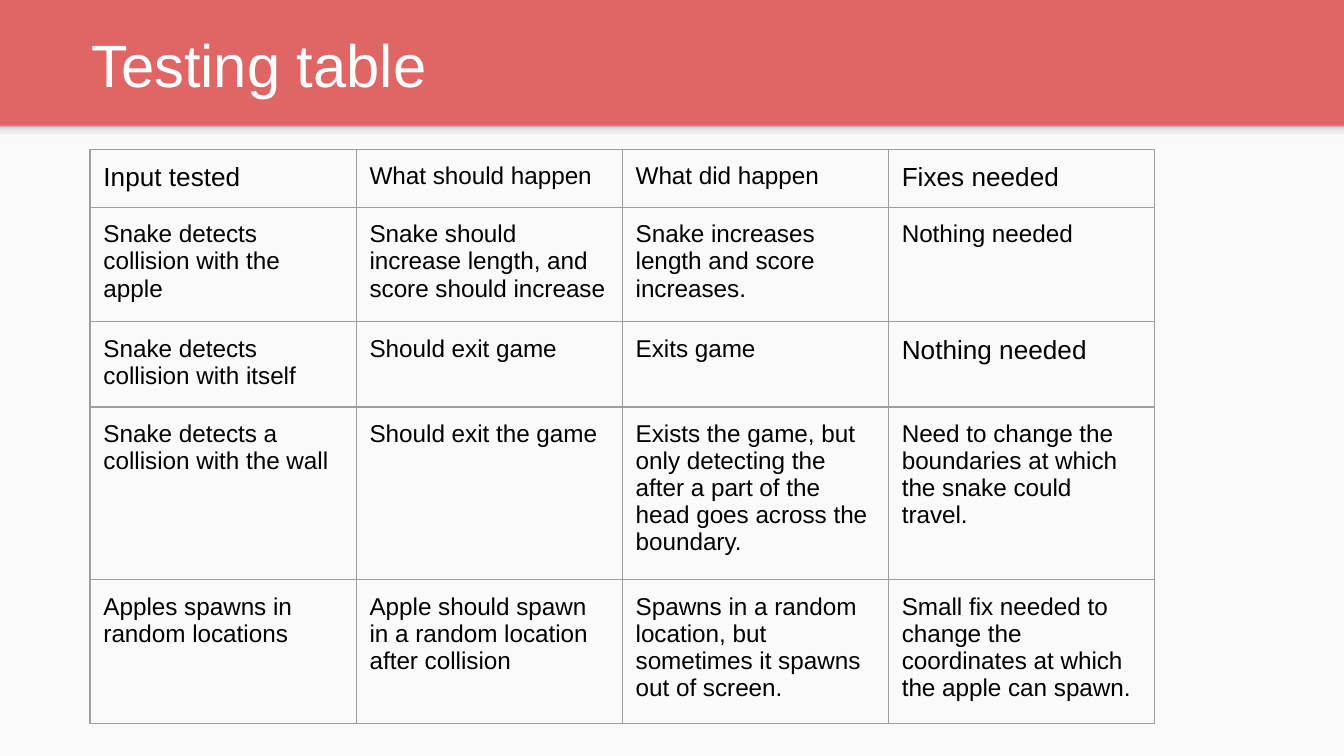
from typing import NamedTuple

from lxml import etree
from pptx import Presentation
from pptx.dml.color import RGBColor
from pptx.enum.shapes import MSO_SHAPE
from pptx.enum.text import MSO_ANCHOR
from pptx.oxml.ns import qn
from pptx.util import Inches, Pt

RECTANGLE = MSO_SHAPE.RECTANGLE
BOTTOM = MSO_ANCHOR.BOTTOM

FONT = "Arial"
COLORS = {
    "header": "E06666",
    "body": "FAFAFA",
    "title": "FFFFFF",
    "text": "000000",
    "border": "9E9E9E",
}
# Position in percent, from the bottom of the strip to its top
HEADER_SHADOW_STOPS = [(0, "F9F9F9"), (36, "F9F9F9"), (80, "DEDEDE"), (100, "999999")]

SLIDE_WIDTH = 10
SLIDE_HEIGHT = SLIDE_WIDTH * 9 / 16
BODY_TOP = 0.94
COLUMN_WIDTH, ROW_HEIGHT = 1.98, 0.42
TABLE_FRAME = 3.28  # nominal size; the rows grow with their text
MARGIN = 0.1


class Entry(NamedTuple):
    text: str
    size: int = 13


TESTS = [
    [
        Entry("Input tested", 14),
        Entry("What should happen"),
        Entry("What did happen"),
        Entry("Fixes needed", 14),
    ],
    [
        Entry("Snake detects collision with the apple"),
        Entry("Snake should increase length, and score should increase"),
        Entry("Snake increases length and score increases."),
        Entry("Nothing needed"),
    ],
    [
        Entry("Snake detects collision with itself"),
        Entry("Should exit game"),
        Entry("Exits game"),
        Entry("Nothing needed", 14),
    ],
    [
        Entry("Snake detects a collision with the wall"),
        Entry("Should exit the game"),
        Entry("Exists the game, but only detecting the after a part of the head "
              "goes across the boundary."),
        Entry("Need to change the boundaries at which the snake could travel."),
    ],
    [
        Entry("Apples spawns in random locations"),
        Entry("Apple should spawn in a random location after collision"),
        Entry("Spawns in a random location, but sometimes it spawns out of screen."),
        Entry("Small fix needed to change the coordinates at which the apple can spawn."),
    ],
]


def rgb(name: str) -> RGBColor:
    return RGBColor.from_string(COLORS[name])


def set_font(paragraph, size: int, color: str) -> None:
    paragraph.font.name = FONT
    paragraph.font.size = Pt(size)
    paragraph.font.color.rgb = rgb(color)


def set_margins(holder) -> None:
    """Give a text frame or a table cell the same inset on all sides."""
    holder.margin_left = holder.margin_right = Inches(MARGIN)
    holder.margin_top = holder.margin_bottom = Inches(MARGIN)


def add_band(slide, top: float, height: float):
    """Add a full-width rectangle without outline or shadow."""
    band = slide.shapes.add_shape(
        RECTANGLE, 0, Inches(top), Inches(SLIDE_WIDTH), Inches(height))
    band.shadow.inherit = False
    band.line.fill.background()
    return band


def add_background(slide) -> None:
    slide.background.fill.solid()
    slide.background.fill.fore_color.rgb = rgb("header")

    body = add_band(slide, BODY_TOP, SLIDE_HEIGHT - BODY_TOP)
    body.fill.solid()
    body.fill.fore_color.rgb = rgb("body")

    header_shadow = add_band(slide, 0.93, 0.12)
    header_shadow.fill.gradient()
    header_shadow.fill.gradient_angle = 90
    stops = header_shadow.element.spPr.find(f".//{qn('a:gsLst')}")
    for stop in list(stops):
        stops.remove(stop)
    for percent, color in HEADER_SHADOW_STOPS:
        stop = etree.SubElement(stops, qn("a:gs"), pos=str(percent * 1000))
        etree.SubElement(stop, qn("a:srgbClr"), val=color)


def add_title(slide, text: str) -> None:
    frame = slide.shapes.add_textbox(
        Inches(0.58), 0, Inches(8.99), Inches(0.84)).text_frame
    frame.word_wrap = True
    frame.vertical_anchor = BOTTOM
    set_margins(frame)
    frame.text = text
    set_font(frame.paragraphs[0], 32, "title")


def add_borders(cell) -> None:
    properties = cell._tc.get_or_add_tcPr()
    for side in ("lnL", "lnR", "lnT", "lnB"):
        line = etree.SubElement(properties, qn(f"a:{side}"), w=str(Pt(0.75)))
        fill = etree.SubElement(line, qn("a:solidFill"))
        etree.SubElement(fill, qn("a:srgbClr"), val=COLORS["border"])


def fill_cell(cell, entry: Entry) -> None:
    add_borders(cell)
    cell.fill.background()
    set_margins(cell)
    cell.text = entry.text
    set_font(cell.text_frame.paragraphs[0], entry.size, "text")


def add_test_table(slide, tests: list[list[Entry]]) -> None:
    table_frame = slide.shapes.add_table(
        len(tests), len(tests[0]), Inches(0.67), Inches(1.11),
        Inches(TABLE_FRAME), Inches(TABLE_FRAME))
    table = table_frame.table
    table.first_row = False
    table.horz_banding = False
    for column in table.columns:
        column.width = Inches(COLUMN_WIDTH)
    for row, entries in zip(table.rows, tests):
        row.height = Inches(ROW_HEIGHT)
        for cell, entry in zip(row.cells, entries):
            fill_cell(cell, entry)
    table_frame.width = table_frame.height = Inches(TABLE_FRAME)


def main() -> None:
    presentation = Presentation()
    presentation.slide_width = Inches(SLIDE_WIDTH)
    presentation.slide_height = Inches(SLIDE_HEIGHT)
    slide = presentation.slides.add_slide(presentation.slide_layouts[6])
    add_background(slide)
    add_title(slide, "Testing table")
    add_test_table(slide, TESTS)
    presentation.save("out.pptx")


if __name__ == "__main__":
    main()
